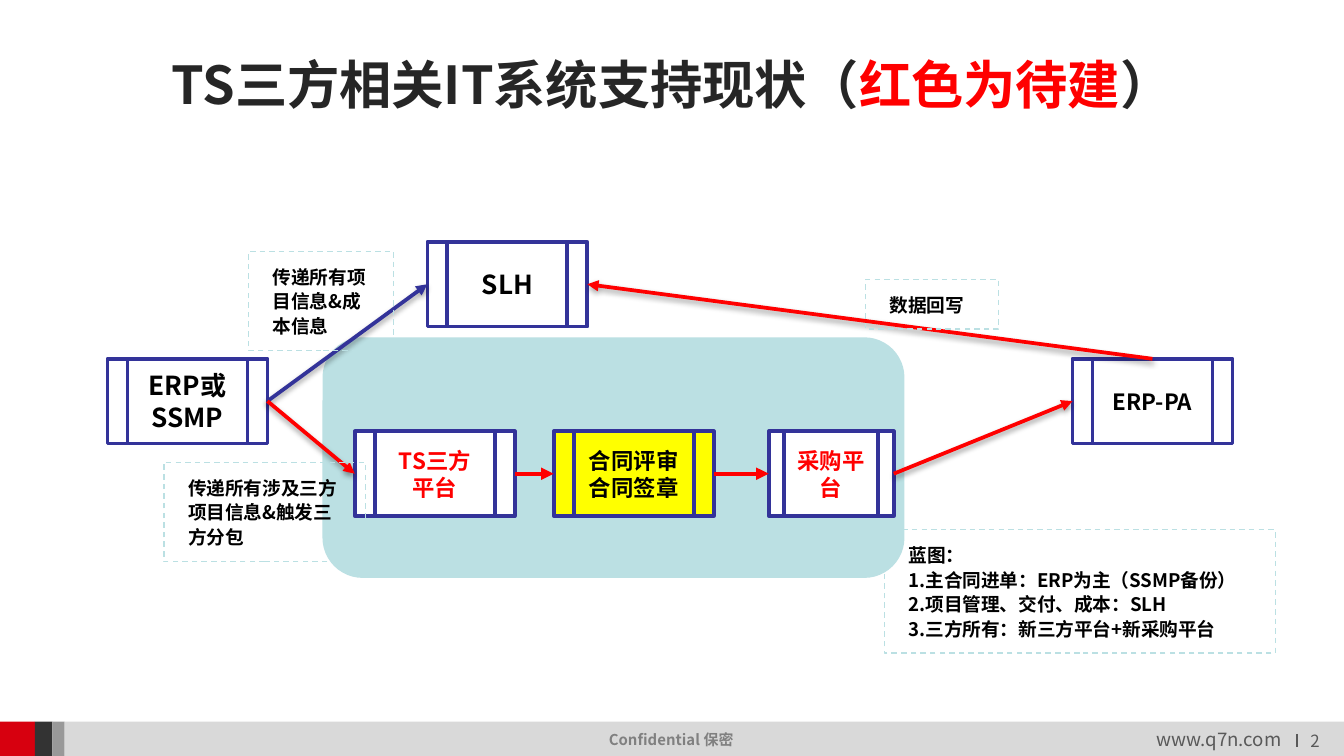
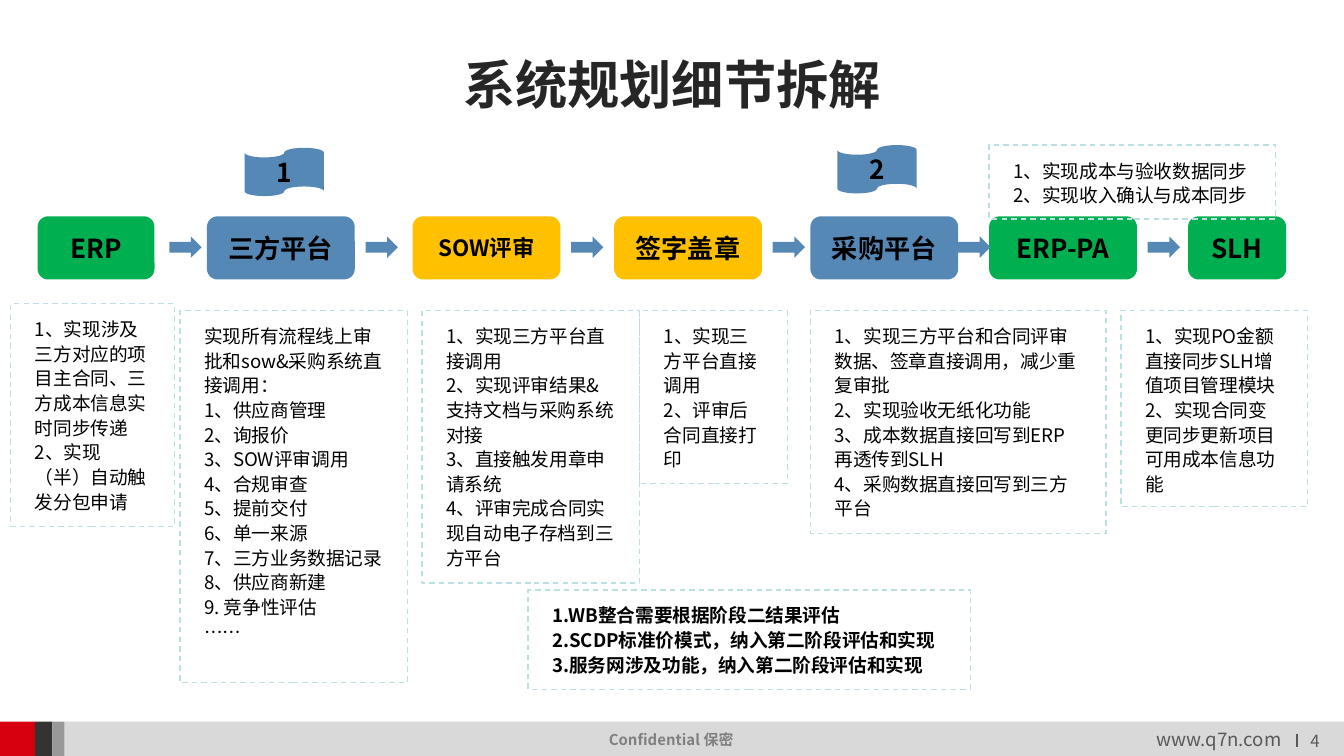
from dataclasses import dataclass
from typing import NamedTuple

from lxml import etree
from pptx import Presentation, util as u
from pptx.dml.color import RGBColor
from pptx.enum import dml, shapes, text
from pptx.oxml import ns

KIND = shapes.MSO_SHAPE
ALIGN = text.PP_ALIGN
MID = text.MSO_ANCHOR.MIDDLE
TOP = text.MSO_ANCHOR.TOP
SCALE = 9144  # EMU in one px, 100 px to the inch
WIDE = 1000
HIGH = WIDE * 9 / 16
SITES = {"top": 0, "left": 1, "bottom": 2, "right": 3}


@dataclass(frozen=True)
class Theme:
    font: str = "Noto Sans CJK SC"
    ink: str = "000000"
    dark: str = "262626"
    white: str = "FFFFFF"
    red: str = "FF0000"
    navy: str = "333399"
    pale: str = "BBE0E3"
    yellow: str = "FFFF00"
    green: str = "00B050"
    blue: str = "5688B6"
    amber: str = "FFC000"
    brand: str = "D7000F"
    coal: str = "333333"
    ash: str = "999999"
    band: str = "D9D9D9"
    grey: str = "808080"
    slate: str = "595959"
    title: int = 28
    large: int = 14
    mid: int = 12
    body: int = 10
    page: int = 9
    tiny: int = 8


T = Theme()


class Box(NamedTuple):
    x: int
    y: int
    w: int
    h: float


class Node(NamedTuple):
    box: Box
    label: str
    fill: str = T.white
    size: int = T.large
    color: str = T.ink


class Link(NamedTuple):
    start: str
    out: str
    end: str
    into: str
    color: str = T.red
    width: float = 2
    shade: bool = True


class Note(NamedTuple):
    box: Box
    words: str
    bold: bool = False


def px(n: float) -> int:
    return u.Emu(round(n * SCALE))


def rgb(code: str) -> RGBColor:
    return RGBColor.from_string(code)


def write(frame, words: str, *, size: int = T.body, color: str = T.ink,
          bold: bool = False, align=ALIGN.LEFT, anchor=MID, pad=(10, 5, 10, 5),
          space: float = 1.0, wrap: bool = True, mark: str = "") -> None:
    """Fill a frame, one paragraph a line; the part equal to mark turns red."""
    frame.word_wrap = wrap
    frame.auto_size = text.MSO_AUTO_SIZE.NONE
    frame.vertical_anchor = anchor
    (frame.margin_left, frame.margin_top,
     frame.margin_right, frame.margin_bottom) = map(px, pad)
    for i, line in enumerate(words.split("\n")):
        para = frame.add_paragraph() if i else frame.paragraphs[0]
        para.alignment = align
        para.line_spacing = space
        parts = line.partition(mark) if mark else (line,)
        for part in filter(None, parts):
            run = para.add_run()
            run.text = part
            font = run.font
            font.name, font.size, font.bold = T.font, u.Pt(size), bold
            font.color.rgb = rgb(T.red if part == mark else color)
            east = etree.SubElement(run._r.get_or_add_rPr(), ns.qn("a:ea"))
            east.set("typeface", T.font)


def draw(slide, kind, box: Box, fill: str = "", line: str = "",
         width: float = 0.75):
    shape = slide.shapes.add_shape(kind, *map(px, box))
    shape.shadow.inherit = False
    if fill:
        shape.fill.solid()
        shape.fill.fore_color.rgb = rgb(fill)
    else:
        shape.fill.background()
    if line:
        shape.line.color.rgb = rgb(line)
        shape.line.width = u.Pt(width)
    else:
        shape.line.fill.background()
    return shape


def label(slide, box: Box, words: str, **form) -> None:
    write(slide.shapes.add_textbox(*map(px, box)).text_frame, words, **form)


def block(slide, kind, node: Node, line: str = ""):
    shape = draw(slide, kind, node.box, node.fill, line, 2)
    write(shape.text_frame, node.label, size=node.size, color=node.color,
          bold=True, align=ALIGN.CENTER)
    return shape


def jot(slide, note: Note) -> None:
    shape = draw(slide, KIND.RECTANGLE, note.box, line=T.pale)
    shape.line.dash_style = dml.MSO_LINE.DASH
    write(shape.text_frame, note.words, bold=note.bold, anchor=TOP,
          pad=(18, 9, 18, 9), space=1.1)


def rule(slide, ends, color: str, width: float, shade: bool = False):
    """Draw a straight line, with a soft shadow below it if asked."""
    line = slide.shapes.add_connector(
        shapes.MSO_CONNECTOR.STRAIGHT, *map(px, ends))
    line.line.color.rgb = rgb(color)
    line.line.width = u.Pt(width)
    glow = etree.SubElement(line._element.spPr, ns.qn("a:effectLst"))
    if shade:
        cast = etree.SubElement(glow, ns.qn("a:outerShdw"), blurRad="39370",
                                dist="20320", dir="5400000", rotWithShape="0")
        tone = etree.SubElement(cast, ns.qn("a:srgbClr"), val=T.ink)
        etree.SubElement(tone, ns.qn("a:alpha"), val="38000")
    return line


def join(slide, blocks: dict, link: Link) -> None:
    line = rule(slide, (0, 0, 0, 0), link.color, link.width, link.shade)
    line.begin_connect(blocks[link.start], SITES[link.out])
    line.end_connect(blocks[link.end], SITES[link.into])
    etree.SubElement(line.line._get_or_add_ln(), ns.qn("a:tailEnd"),
                     type="triangle")


def start(deck, title: str, page: int, mark: str = ""):
    """Add a slide with its title and footer."""
    slide = deck.slides.add_slide(deck.slide_layouts[5])
    head = slide.shapes.title
    head.left, head.top, head.width, head.height = map(px, (50, 37, 900, 50))
    write(head.text_frame, title, size=T.title, color=T.dark, bold=True,
          align=ALIGN.CENTER, mark=mark)
    x = 0
    for w, fill in ((26, T.brand), (13, T.coal), (9, T.ash), (952, T.band)):
        draw(slide, KIND.RECTANGLE, Box(x, 537, w, HIGH - 537), fill)
        x += w
    label(slide, Box(403, 538, 193, 24), "Confidential 保密", size=T.tiny,
          color=T.grey, bold=True, align=ALIGN.CENTER)
    label(slide, Box(851, 537, 113, 26), "www.q7n.com", color=T.slate,
          wrap=False)
    label(slide, Box(957, 538, 43, 24), str(page), size=T.page,
          color=T.slate, align=ALIGN.CENTER, pad=(10, 8, 10, 5))
    rule(slide, (965, 546, 965, 556), T.slate, 0.75)
    return slide


def status(deck) -> None:
    slide = start(deck, "TS三方相关IT系统支持现状（红色为待建）", 2, "红色为待建")
    draw(slide, KIND.ROUNDED_RECTANGLE, Box(240, 251, 433, 179), T.pale)
    w, h, row = 119, 63, 321
    nodes = {
        "erp": Node(Box(80, 267, w, h), "ERP或SSMP"),
        "slh": Node(Box(318, 180, w, h), "SLH"),
        "ts": Node(Box(264, row, w, h), "TS三方平台", size=T.mid, color=T.red),
        "deal": Node(Box(412, row, w, h), "合同评审\n合同签章", T.yellow, T.mid),
        "buy": Node(Box(572, row, 93, h), "采购平台", size=T.mid, color=T.red),
        "pa": Node(Box(798, 267, w, h), "ERP-PA", size=T.mid),
    }
    blocks = {key: block(slide, KIND.FLOWCHART_PREDEFINED_PROCESS, node, T.navy)
              for key, node in nodes.items()}
    for link in (
        Link("erp", "right", "slh", "left", T.navy),
        Link("erp", "right", "ts", "left"),
        Link("buy", "right", "pa", "left"),
        Link("pa", "top", "slh", "right"),
        Link("ts", "right", "deal", "left", width=2.25, shade=False),
        Link("deal", "right", "buy", "left", width=2.25, shade=False),
    ):
        join(slide, blocks, link)
    for note in (
        Note(Box(185, 187, 108, 74), "传递所有项目信息&成本信息", True),
        Note(Box(122, 344, 150, 74), "传递所有涉及三方项目信息&触发三方分包", True),
        Note(Box(644, 208, 99, 37), "数据回写", True),
        Note(Box(658, 394, 291, 92),
             "蓝图：\n1.主合同进单：ERP为主（SSMP备份）\n"
             "2.项目管理、交付、成本：SLH\n3.三方所有：新三方平台+新采购平台", True),
    ):
        jot(slide, note)


def detail(deck) -> None:
    slide = start(deck, "系统规划细节拆解", 4)
    y, w, h = 161, 110, 47
    for node in (
        Node(Box(28, y, 87, h), "ERP", T.green),
        Node(Box(154, y, w, h), "三方平台", T.blue),
        Node(Box(307, y, w, h), "SOW评审", T.amber, T.mid),
        Node(Box(457, y, w, h), "签字盖章", T.amber),
        Node(Box(603, y, w, h), "采购平台", T.blue),
        Node(Box(736, y, w, h), "ERP-PA", T.green),
        Node(Box(884, y, 73, h), "SLH", T.green),
    ):
        block(slide, KIND.ROUNDED_RECTANGLE, node)
    for x in (126, 272, 425, 575, 713, 854):
        draw(slide, KIND.RIGHT_ARROW, Box(x, 176, 24, 16), T.blue)
    for flag in (Node(Box(182, 110, 59, 36), "1", T.blue),
                 Node(Box(623, 108, 59, 36), "2", T.blue)):
        block(slide, KIND.FLOWCHART_PUNCHED_TAPE, flag)
    top = 231
    for note in (
        Note(Box(8, 226, 122, 166),
             "1、实现涉及三方对应的项目主合同、三方成本信息实时同步传递\n"
             "2、实现（半）自动触发分包申请"),
        Note(Box(134, top, 169, 277),
             "实现所有流程线上审批和sow&采购系统直接调用：\n1、供应商管理\n"
             "2、询报价\n3、SOW评审调用\n4、合规审查\n5、提前交付\n"
             "6、单一来源\n7、三方业务数据记录\n8、供应商新建\n"
             "9. 竞争性评估\n……"),
        Note(Box(314, top, 162, 203),
             "1、实现三方平台直接调用\n2、实现评审结果&支持文档与采购系统对接\n"
             "3、直接触发用章申请系统\n4、评审完成合同实现自动电子存档到三方平台"),
        Note(Box(476, top, 110, 129),
             "1、实现三方平台直接调用\n2、评审后合同直接打印"),
        Note(Box(603, top, 220, 166),
             "1、实现三方平台和合同评审数据、签章直接调用，减少重复审批\n"
             "2、实现验收无纸化功能\n3、成本数据直接回写到ERP再透传到SLH\n"
             "4、采购数据直接回写到三方平台"),
        Note(Box(834, top, 139, 146),
             "1、实现PO金额直接同步SLH增值项目管理模块"
             "2、实现合同变更同步更新项目可用成本信息功能"),
        Note(Box(736, 108, 213, 55),
             "1、实现成本与验收数据同步\n2、实现收入确认与成本同步"),
        Note(Box(393, 439, 329, 74),
             "1.WB整合需要根据阶段二结果评估\n"
             "2.SCDP标准价模式，纳入第二阶段评估和实现\n"
             "3.服务网涉及功能，纳入第二阶段评估和实现", True),
    ):
        jot(slide, note)


def main() -> None:
    deck = Presentation()
    deck.slide_width, deck.slide_height = px(WIDE), px(HIGH)
    status(deck)
    detail(deck)
    deck.save("out.pptx")


if __name__ == "__main__":
    main()
